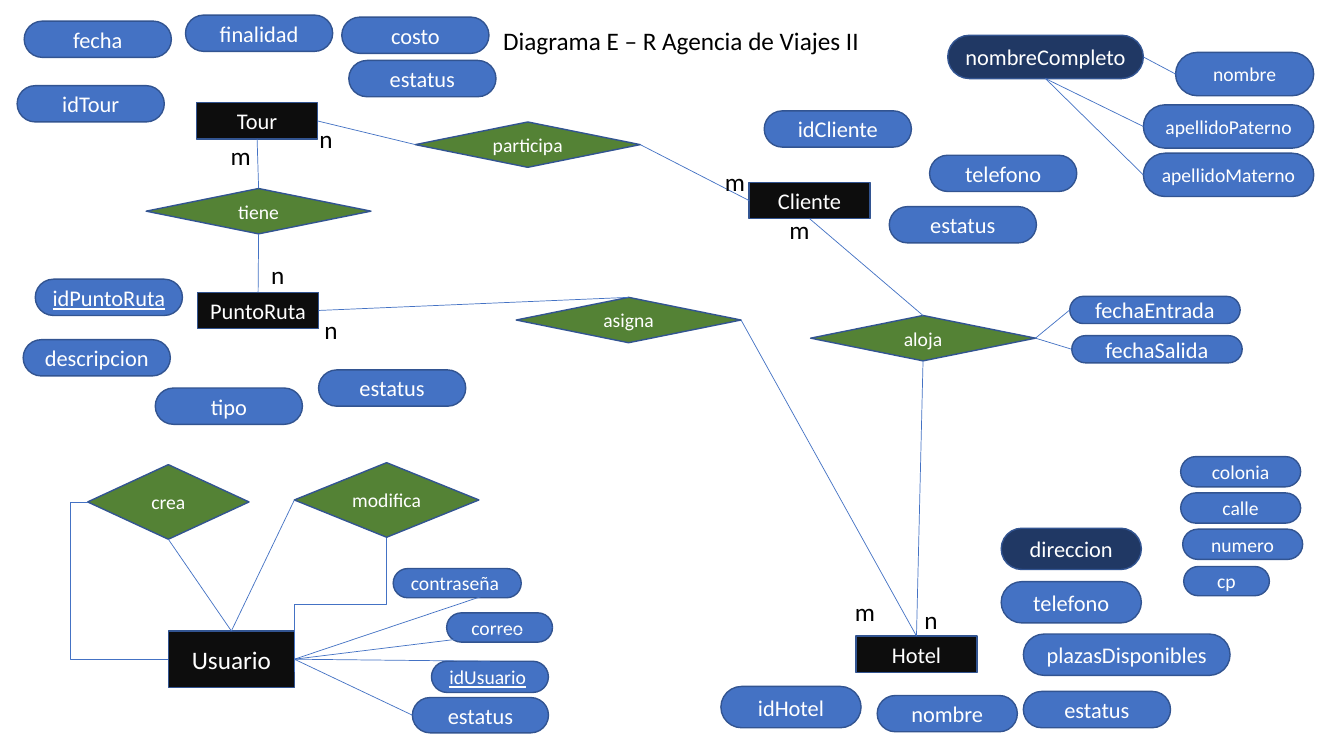
from lxml import etree
from pptx import Presentation
from pptx import util as u
from pptx.dml.color import RGBColor
from pptx.enum import shapes, text
from pptx.oxml import ns

FONT = "Calibri"
BLUE, NAVY, GREEN, BLACK = "4472C4", "203864", "548235", "0D0D0D"
OUTLINE, WHITE, TEXT = "325491", "FFFFFF", "000000"
TOP, LEFT, BOTTOM, RIGHT = range(4)
STANDARD = (1.46, 0.36, 16)
HOTEL = (1.39, 0.41, 16)
ADDRESS = (1.19, 0.3, 14)
SURNAME = (1.69, 0.43, 14)
DATE = (1.69, 0.27, 16)
KEYS = {"idPuntoRuta", "idUsuario"}
COMPOSITES = {"nombreCompleto", "direccion"}

ENTITIES = [
    ("Tour", 1.95, 1.02, 1.2, 0.36, 16),
    ("PuntoRuta", 1.96, 2.9, 1.2, 0.36, 16),
    ("Hotel", 8.49, 6.31, 1.2, 0.36, 16),
    ("Cliente", 7.43, 1.81, 1.2, 0.36, 16),
    ("Usuario", 1.67, 6.26, 1.25, 0.56, 18),
]

RELATIONSHIPS = [
    ("tiene", 1.45, 1.87, 2.23, 0.45),
    ("asigna", 5.12, 2.95, 2.23, 0.45),
    ("participa", 4.12, 1.21, 2.23, 0.45),
    ("aloja", 8.04, 3.13, 2.23, 0.45),
    ("crea", 0.87, 4.61, 1.6, 0.74),
    ("modifica", 2.92, 4.59, 1.83, 0.74),
]

ATTRIBUTES = {
    "Tour": [
        ("fecha", 0.24, 0.21, *STANDARD),
        ("finalidad", 1.84, 0.15, *STANDARD),
        ("costo", 3.39, 0.17, *STANDARD),
        ("estatus", 3.46, 0.6, *STANDARD),
        ("idTour", 0.17, 0.85, *STANDARD),
    ],
    "PuntoRuta": [
        ("idPuntoRuta", 0.35, 2.77, *STANDARD),
        ("descripcion", 0.23, 3.37, *STANDARD),
        ("tipo", 1.54, 3.85, *STANDARD),
        ("estatus", 3.16, 3.67, *STANDARD),
    ],
    "Cliente": [
        ("idCliente", 7.58, 1.1, *STANDARD),
        ("telefono", 9.22, 1.54, *STANDARD),
        ("estatus", 8.82, 2.05, *STANDARD),
        ("nombreCompleto", 9.4, 0.35, 1.94, 0.43, 16),
        ("nombre", 11.66, 0.52, 1.37, 0.43, 14),
        ("apellidoPaterno", 11.34, 1.04, *SURNAME),
        ("apellidoMaterno", 11.34, 1.52, *SURNAME),
    ],
    "aloja": [
        ("fechaEntrada", 10.61, 2.94, *DATE),
        ("fechaSalida", 10.63, 3.33, *DATE),
    ],
    "Hotel": [
        ("direccion", 9.93, 5.24, *HOTEL),
        ("telefono", 9.93, 5.77, *HOTEL),
        ("idHotel", 7.15, 6.81, *HOTEL),
        ("plazasDisponibles", 10.15, 6.29, 2.05, 0.41, 16),
        ("nombre", 8.7, 6.9, 1.39, 0.36, 16),
        ("estatus", 10.15, 6.86, *STANDARD),
        ("colonia", 11.71, 4.53, *ADDRESS),
        ("calle", 11.71, 4.89, *ADDRESS),
        ("numero", 11.73, 5.25, *ADDRESS),
        ("cp", 11.74, 5.62, 0.85, 0.29, 14),
    ],
    "Usuario": [
        ("contraseña ", 3.9, 5.64, 1.27, 0.29, 14),
        ("correo ", 4.43, 6.08, 1.05, 0.29, 14),
        ("idUsuario ", 4.28, 6.56, 1.16, 0.31, 14),
        ("estatus", 4.09, 6.92, 1.35, 0.35, 16),
    ],
}

LINKS = [
    ("Tour", BOTTOM, "tiene", TOP),
    ("tiene", BOTTOM, "PuntoRuta", TOP),
    ("PuntoRuta", RIGHT, "asigna", TOP),
    ("asigna", RIGHT, "Hotel", TOP),
    ("Tour", RIGHT, "participa", LEFT),
    ("participa", RIGHT, "Cliente", LEFT),
    ("aloja", TOP, "Cliente", BOTTOM),
    ("aloja", BOTTOM, "Hotel", TOP),
    ("Cliente.nombreCompleto", RIGHT, "Cliente.nombre", LEFT),
    ("Cliente.nombreCompleto", BOTTOM, "Cliente.apellidoMaterno", LEFT),
    ("Cliente.nombreCompleto", BOTTOM, "Cliente.apellidoPaterno", LEFT),
    ("aloja.fechaEntrada", LEFT, "aloja", RIGHT),
    ("aloja.fechaSalida", LEFT, "aloja", RIGHT),
    ("Usuario.contraseña", RIGHT, "Usuario", RIGHT),
    ("Usuario.correo", RIGHT, "Usuario", RIGHT),
    ("Usuario.idUsuario", TOP, "Usuario", RIGHT),
    ("Usuario.estatus", LEFT, "Usuario", RIGHT),
    ("crea", BOTTOM, "Usuario", TOP),
    ("modifica", LEFT, "Usuario", TOP),
]

CARDINALITIES = [
    ("m", 2.19, 1.34), ("n", 2.59, 2.52), ("n", 3.12, 3.07), ("m", 8.38, 5.87),
    ("n", 3.07, 1.17), ("m", 7.09, 1.6), ("m", 7.73, 2.08), ("n", 9.07, 5.95),
]


def color(value):
    return RGBColor.from_string(value)


def add_run(paragraph, content, size, font_color, underline=None):
    run = paragraph.add_run()
    run.text = content
    run.font.name = FONT
    run.font.size = u.Pt(size)
    run.font.underline = underline
    run.font.color.rgb = color(font_color)


def add_node(slide, preset, fill, label, left, top, width, height, size):
    shape = slide.shapes.add_shape(preset, *map(u.Inches, (left, top, width, height)))
    shape.shadow.inherit = False
    shape.fill.solid()
    shape.fill.fore_color.rgb = color(fill)
    shape.line.color.rgb = color(OUTLINE)
    shape.line.width = u.Pt(1)
    shape.text_frame.vertical_anchor = text.MSO_ANCHOR.MIDDLE
    paragraph = shape.text_frame.paragraphs[0]
    paragraph.alignment = text.PP_ALIGN.CENTER
    name = label.strip()
    if name in KEYS:
        add_run(paragraph, name, size, WHITE, True)
        if name != label:
            add_run(paragraph, " ", size, WHITE)
    else:
        add_run(paragraph, label, size, WHITE)
    return shape


def add_attribute(slide, label, *geometry):
    fill = NAVY if label in COMPOSITES else BLUE
    shape = add_node(slide, shapes.MSO_SHAPE.ROUNDED_RECTANGLE, fill, label, *geometry)
    shape.adjustments[0] = 0.5
    return shape


def add_label(slide, content, left, top, width=0.5, alignment=text.PP_ALIGN.LEFT):
    box = slide.shapes.add_textbox(*map(u.Inches, (left, top, width, 0.4)))
    box.text_frame.word_wrap = True
    box.text_frame.auto_size = text.MSO_AUTO_SIZE.SHAPE_TO_FIT_TEXT
    paragraph = box.text_frame.paragraphs[0]
    paragraph.alignment = alignment
    add_run(paragraph, content, 18, TEXT)


def add_line(slide, kind, *points):
    connector = slide.shapes.add_connector(kind, *map(u.Inches, points))
    connector.line.color.rgb = color(BLUE)
    connector.line.width = u.Pt(0.5)
    etree.SubElement(connector._element.spPr, ns.qn("a:effectLst"))
    return connector


def add_link(slide, start, start_side, end, end_side):
    connector = add_line(slide, shapes.MSO_CONNECTOR.STRAIGHT, 0, 0, 1, 1)
    connector.begin_connect(start, start_side)
    connector.end_connect(end, end_side)


def add_elbow(slide, points, bend, rotation=0):
    properties = add_line(slide, shapes.MSO_CONNECTOR.ELBOW, *points)._element.spPr
    properties.find(ns.qn("a:xfrm")).set("rot", str(rotation * 60000))
    adjustments = properties.find(ns.qn("a:prstGeom")).find(ns.qn("a:avLst"))
    guide = etree.SubElement(adjustments, ns.qn("a:gd"))
    guide.set("name", "adj1")
    guide.set("fmla", f"val {round(bend * 100000)}")


def main():
    presentation = Presentation()
    presentation.slide_width = u.Inches(13.33)
    presentation.slide_height = u.Inches(7.5)
    slide = presentation.slides.add_slide(presentation.slide_layouts[6])
    add_label(slide, "Diagrama E – R Agencia de Viajes II", 4.27, 0.2, 4.97, text.PP_ALIGN.CENTER)
    nodes = {}
    for entity in ENTITIES:
        nodes[entity[0]] = add_node(slide, shapes.MSO_SHAPE.RECTANGLE, BLACK, *entity)
    for relationship in RELATIONSHIPS:
        nodes[relationship[0]] = add_node(slide, shapes.MSO_SHAPE.DIAMOND, GREEN, *relationship, 14)
    for owner, attributes in ATTRIBUTES.items():
        for attribute in attributes:
            nodes[f"{owner}.{attribute[0].strip()}"] = add_attribute(slide, *attribute)
    for start, start_side, end, end_side in LINKS:
        add_link(slide, nodes[start], start_side, nodes[end], end_side)
    add_elbow(slide, (1.67, 6.54, 0.87, 4.98), 1.21)
    add_elbow(slide, (2.71, 5.54, 4.04, 6.46), 0.5, 90)
    for cardinality in CARDINALITIES:
        add_label(slide, *cardinality)
    presentation.save("out.pptx")


if __name__ == "__main__":
    main()
